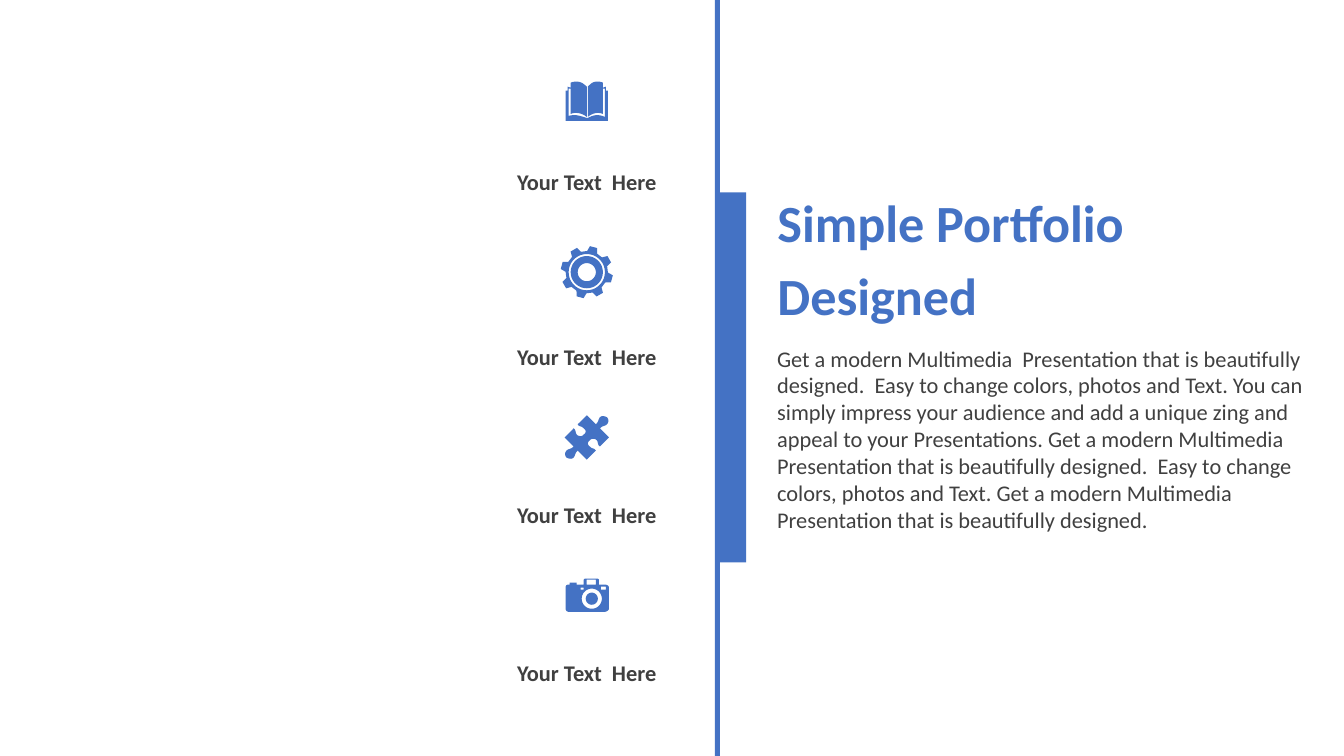
import math
import pptx
import pptx.dml.color
import pptx.enum.shapes
import pptx.enum.text
import pptx.util

Inches, Pt = pptx.util.Inches, pptx.util.Pt
ALIGN = pptx.enum.text.PP_ALIGN

BLUE, GREY, FONT = "4472C4", "404040", "Calibri"
TITLE = ["Simple Portfolio", "Designed"]
BODY = [
    "Get a modern Multimedia  Presentation that is beautifully designed.  "
    "Easy to change colors, photos and Text. You can simply impress your "
    "audience and add a unique zing and appeal to your Presentations. "
    "Get a modern Multimedia  Presentation that is beautifully designed.  "
    "Easy to change colors, photos and Text. "
    "Get a modern Multimedia  Presentation that is beautifully designed."
]
LABEL = "Your Text  Here"
LABEL_TOPS = [1.62, 3.36, 4.92, 6.49]
BARS = [(7.09, 0, 0.05, 7.5), (7.14, 1.91, 0.26, 3.67)]

# Outlines in inches: two numbers are a corner, six are a Bezier curve.
BOOK = [
    (5.82, 1.17), (5.83, 1.17), (5.89, 1.14, 5.93, 1.13, 6, 1.16),
    (6, 0.88), (5.98, 0.88), (5.98, 1.13),
    (5.93, 1.11, 5.88, 1.12, 5.83, 1.16), (5.83, 0.86),
    (5.86, 0.83, 5.88, 0.81, 5.92, 0.81),
    (5.94, 0.81, 5.96, 0.81, 5.98, 0.82), (5.98, 0.87),
    (6.01, 0.86), (6.01, 0.9), (6.03, 0.9), (6.03, 1.2),
    (5.61, 1.2), (5.61, 0.9), (5.63, 0.9), (5.63, 0.86),
    (5.66, 0.87), (5.66, 0.82), (5.69, 0.81, 5.7, 0.81, 5.72, 0.81),
    (5.76, 0.81, 5.79, 0.83, 5.82, 0.86), (5.82, 1.16),
    (5.77, 1.12, 5.71, 1.11, 5.66, 1.13),
    (5.66, 0.88), (5.64, 0.88), (5.64, 1.15),
    (5.71, 1.13, 5.75, 1.15, 5.82, 1.17),
]
PUZZLE_MID = (5.82, 4.34)
PUZZLE_HALF = [
    (6.02, 4.14), (6.04, 4.16, 6.04, 4.19, 6.02, 4.21),
    (6, 4.23, 5.98, 4.22, 5.95, 4.25), (6.04, 4.34), (5.95, 4.43),
    (5.92, 4.41, 5.94, 4.38, 5.91, 4.36),
    (5.89, 4.35, 5.86, 4.35, 5.85, 4.37),
    (5.83, 4.38, 5.82, 4.41, 5.85, 4.43),
    (5.88, 4.46, 5.89, 4.44, 5.91, 4.47), (5.82, 4.56), (5.73, 4.47),
    (5.7, 4.5, 5.71, 4.51, 5.69, 4.54),
    (5.67, 4.56, 5.64, 4.55, 5.62, 4.54),
]
CAMERA = [
    (5.8, 5.74), (5.93, 5.74), (5.94, 5.75), (5.94, 5.8), (6, 5.8),
    (6.02, 5.8, 6.04, 5.81, 6.04, 5.83), (6.04, 6.04),
    (6.04, 6.05, 6.02, 6.07, 6, 6.07), (5.64, 6.07),
    (5.62, 6.07, 5.61, 6.05, 5.61, 6.04), (5.61, 5.83),
    (5.61, 5.81, 5.62, 5.8, 5.64, 5.8), (5.65, 5.8), (5.65, 5.78),
    (5.72, 5.78), (5.72, 5.8), (5.79, 5.8), (5.79, 5.75),
]
CAMERA_GAPS = [(5.76, 5.83, 5.79, 5.85), (5.96, 5.82, 6.01, 5.85),
               (5.82, 5.75, 5.91, 5.8)]
LENS, LENS_RADII = (5.87, 5.94), (0.06, 0.1)
GEAR, GEAR_RADII = (5.82, 2.7), (0.09, 0.16, 0.18)
TEETH, FIRST, ROOT, TIP = 8, -75, 0.21, 0.26


def color(value):
    return pptx.dml.color.RGBColor.from_string(value)


def flat(outline, steps=8):
    """Turn corners and curves into plain points."""
    points = []
    for part in outline:
        if len(part) == 2:
            points.append(part)
            continue
        ends = [points[-1], part[:2], part[2:4], part[4:]]
        for step in range(1, steps + 1):
            t = step / steps
            mix = [(1 - t) ** 3, 3 * t * (1 - t) ** 2, 3 * t * t * (1 - t), t ** 3]
            points.append(tuple(sum(m * e[axis] for m, e in zip(mix, ends))
                                for axis in (0, 1)))
    return points


def polar(mid, radius, angle):
    turn = math.radians(angle)
    return mid[0] + radius * math.cos(turn), mid[1] + radius * math.sin(turn)


def ring(mid, radius):
    return [polar(mid, radius, angle) for angle in range(0, 360, 10)]


def box(left, top, right, bottom):
    return [(left, top), (right, top), (right, bottom), (left, bottom)]


def mirror(part):
    """Turn a part by half a circle about the middle of the puzzle piece."""
    return tuple(2 * PUZZLE_MID[i % 2] - v for i, v in enumerate(part))


def paint(shape):
    shape.shadow.inherit = False
    shape.fill.solid()
    shape.fill.fore_color.rgb = color(BLUE)
    shape.line.fill.background()


def icon(slide, loops):
    pen = None
    for loop in loops:
        first, *rest = [(Inches(x), Inches(y)) for x, y in loop]
        if pen is None:
            pen = slide.shapes.build_freeform(*first, scale=1.0)
        else:
            pen.move_to(*first)
        pen.add_line_segments(rest, close=True)
    paint(pen.convert_to_shape())


def write(shape, lines, size, tone, bold=False, align=ALIGN.LEFT, before=0):
    frame = shape.text_frame
    frame.word_wrap = True
    frame.auto_size = pptx.enum.text.MSO_AUTO_SIZE.NONE
    frame.vertical_anchor = pptx.enum.text.MSO_ANCHOR.TOP
    for i, line in enumerate(lines):
        para = frame.add_paragraph() if i else frame.paragraphs[0]
        para.alignment = align
        para.line_spacing = 1.0
        para.space_before = Pt(before)
        run = para.add_run()
        run.text = line
        run.font.name = FONT
        run.font.size = Pt(size)
        run.font.bold = bold
        run.font.color.rgb = color(tone)


def main():
    deck = pptx.Presentation()
    deck.slide_width, deck.slide_height = Inches(13.33), Inches(7.5)
    slide = deck.slides.add_slide(deck.slide_layouts[5])

    for bar in BARS:
        paint(slide.shapes.add_shape(pptx.enum.shapes.MSO_SHAPE.RECTANGLE,
                                     *map(Inches, bar)))

    teeth = [polar(GEAR, radius, FIRST + 360 / TEETH * tooth + turn)
             for tooth in range(TEETH)
             for radius, turn in [(ROOT, -14), (TIP, -8), (TIP, 8), (ROOT, 14)]]
    puzzle = PUZZLE_HALF + [mirror(part) for part in PUZZLE_HALF[1:]]
    icon(slide, [flat(BOOK)])
    icon(slide, [teeth] + [ring(GEAR, radius) for radius in GEAR_RADII])
    icon(slide, [flat(puzzle)])
    icon(slide, [flat(CAMERA)] + [box(*gap) for gap in CAMERA_GAPS]
         + [ring(LENS, radius) for radius in LENS_RADII])

    for top in LABEL_TOPS:
        label = slide.shapes.add_textbox(*map(Inches, (4.75, top, 2.14, 0.37)))
        write(label, [LABEL], 16, GREY, bold=True, align=ALIGN.CENTER)

    title = slide.shapes.title
    title.left, title.top, title.width, title.height = map(
        Inches, (7.61, 1.84, 5.04, 1.42))
    write(title, TITLE, 37.3, BLUE, bold=True, before=7.46)

    body = slide.shapes.add_textbox(*map(Inches, (7.61, 3.37, 5.46, 1.99)))
    write(body, BODY, 16, GREY)
    deck.save("out.pptx")


if __name__ == "__main__":
    main()
